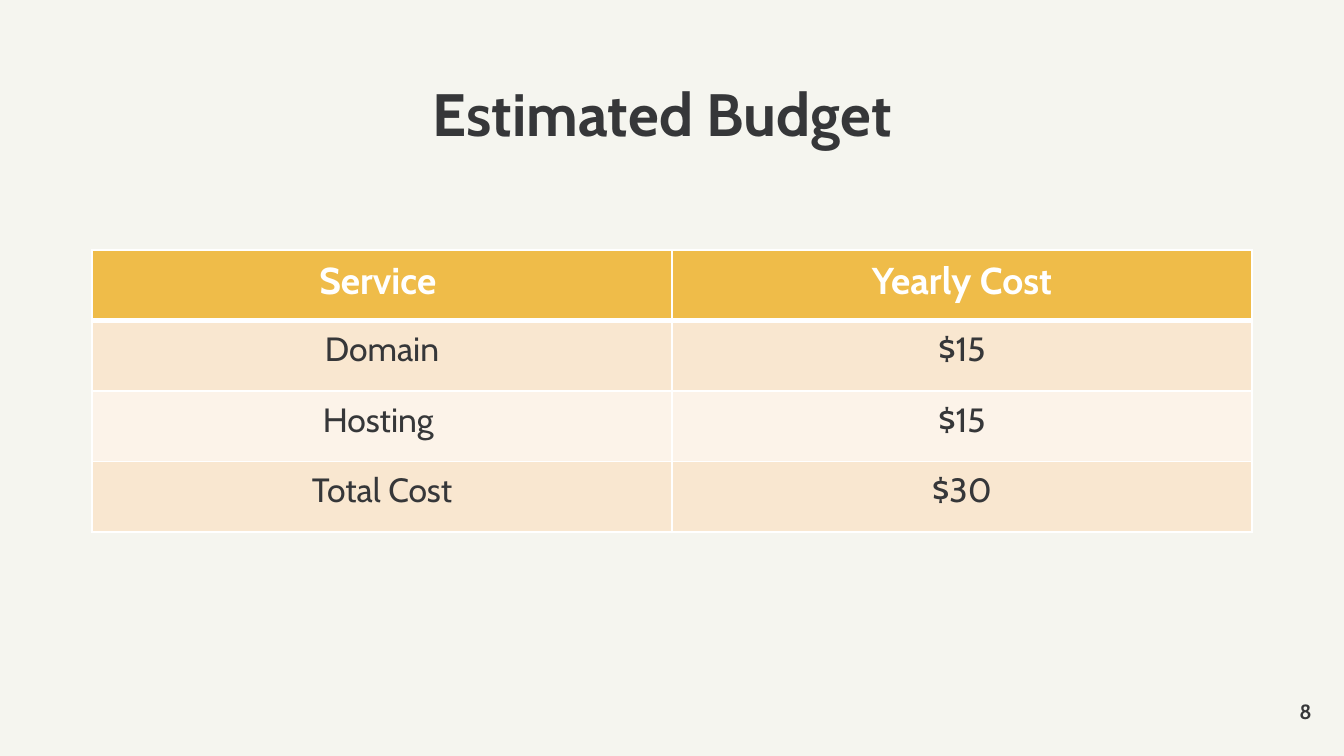
"""Build the estimated budget slide."""
from dataclasses import dataclass

from lxml.etree import SubElement
from pptx import Presentation
from pptx.dml.color import RGBColor
from pptx.enum.text import MSO_ANCHOR, PP_ALIGN
from pptx.oxml.ns import qn
from pptx.util import Inches, Pt


@dataclass(frozen=True)
class Theme:
    font: str = "Cabin"
    background: str = "F5F5EF"
    ink: str = "363739"
    white: str = "FFFFFF"
    header: str = "EFBC49"
    bands: tuple[str, ...] = ("F9E7D0", "FCF3E9")
    title_size: int = 32
    header_size: int = 20
    body_size: int = 18
    number_size: int = 11
    thin_line: int = 1
    thick_line: int = 3


@dataclass(frozen=True)
class Area:
    left: float
    top: float
    width: float
    height: float

    def lengths(self) -> list[int]:
        return [Inches(n) for n in (self.left, self.top, self.width, self.height)]


@dataclass(frozen=True)
class BudgetRow:
    service: str
    cost: str


@dataclass(frozen=True)
class TextStyle:
    size: int
    color: str
    bold: bool
    align: PP_ALIGN


THEME = Theme()
PAGE_WIDTH = 10
PAGE_HEIGHT = PAGE_WIDTH * 9 / 16
TABLE_WIDTH = 8.63
CELL_MARGIN = 0.13
TITLE_AREA = Area(3.22, 0.63, 3.56, 0.79)
TABLE_AREA = Area((PAGE_WIDTH - TABLE_WIDTH) / 2, 1.86, TABLE_WIDTH, 2.1)
NUMBER_AREA = Area(9.16, 5.19, 0.6, 0.2)
BUDGET = (
    BudgetRow("Service ", "Yearly Cost"),
    BudgetRow("Domain", "$15"),
    BudgetRow("Hosting ", "$15"),
    BudgetRow("Total Cost", "$30"),
)
TITLE_STYLE = TextStyle(THEME.title_size, THEME.ink, True, PP_ALIGN.LEFT)
HEADER_STYLE = TextStyle(THEME.header_size, THEME.white, True, PP_ALIGN.CENTER)
BODY_STYLE = TextStyle(THEME.body_size, THEME.ink, False, PP_ALIGN.CENTER)
NUMBER_STYLE = TextStyle(THEME.number_size, THEME.ink, True, PP_ALIGN.RIGHT)


def set_all(target: object, values: dict[str, object]) -> None:
    for name, value in values.items():
        setattr(target, name, value)


def write_text(frame, text: str, style: TextStyle):
    para = frame.paragraphs[0]
    para.alignment = style.align
    span = para.add_run()
    span.text = text
    set_all(span.font, {"name": THEME.font, "size": Pt(style.size), "bold": style.bold})
    span.font.color.rgb = RGBColor.from_string(style.color)
    return para


def format_box(box, area: Area, anchor: MSO_ANCHOR) -> None:
    set_all(box, dict(zip(("left", "top", "width", "height"), area.lengths())))
    margins = dict.fromkeys(("margin_left", "margin_top", "margin_right", "margin_bottom"), 0)
    set_all(box.text_frame, {**margins, "word_wrap": True, "vertical_anchor": anchor})


def fill_solid(fill, color: str) -> None:
    fill.solid()
    fill.fore_color.rgb = RGBColor.from_string(color)


def add_borders(cell, widths: dict[str, int]) -> None:
    properties = cell._tc.get_or_add_tcPr()
    for position, (side, width) in enumerate(widths.items()):
        line = SubElement(properties, qn(f"a:{side}"), w=str(Pt(width)))
        SubElement(SubElement(line, qn("a:solidFill")), qn("a:srgbClr"), val=THEME.white)
        properties.insert(position, line)


def add_budget_table(page, rows: tuple[BudgetRow, ...], area: Area) -> None:
    table = page.shapes.add_table(len(rows), 2, *area.lengths()).table
    margins = {
        **dict.fromkeys(("margin_left", "margin_right"), Inches(CELL_MARGIN)),
        **dict.fromkeys(("margin_top", "margin_bottom"), Inches(CELL_MARGIN / 2)),
    }
    for index, row in enumerate(rows):
        is_header = index == 0
        color = THEME.header if is_header else THEME.bands[(index - 1) % 2]
        widths = dict.fromkeys(("lnL", "lnR", "lnT", "lnB"), THEME.thin_line)
        if index < 2:
            widths["lnB" if is_header else "lnT"] = THEME.thick_line
        for column, text in enumerate((row.service, row.cost)):
            cell = table.cell(index, column)
            set_all(cell, margins)
            fill_solid(cell.fill, color)
            add_borders(cell, widths)
            write_text(cell.text_frame, text, HEADER_STYLE if is_header else BODY_STYLE)


def main() -> None:
    deck = Presentation()
    set_all(deck, {"slide_width": Inches(PAGE_WIDTH), "slide_height": Inches(PAGE_HEIGHT)})
    page = deck.slides.add_slide(deck.slide_layouts[5])
    fill_solid(page.background.fill, THEME.background)

    title = page.shapes.title
    format_box(title, TITLE_AREA, MSO_ANCHOR.TOP)
    write_text(title.text_frame, "Estimated Budget", TITLE_STYLE).line_spacing = 0.9

    add_budget_table(page, BUDGET, TABLE_AREA)

    number = page.shapes.add_textbox(*NUMBER_AREA.lengths())
    format_box(number, NUMBER_AREA, MSO_ANCHOR.MIDDLE)
    write_text(number.text_frame, "8", NUMBER_STYLE)

    deck.save("out.pptx")


if __name__ == "__main__":
    main()
